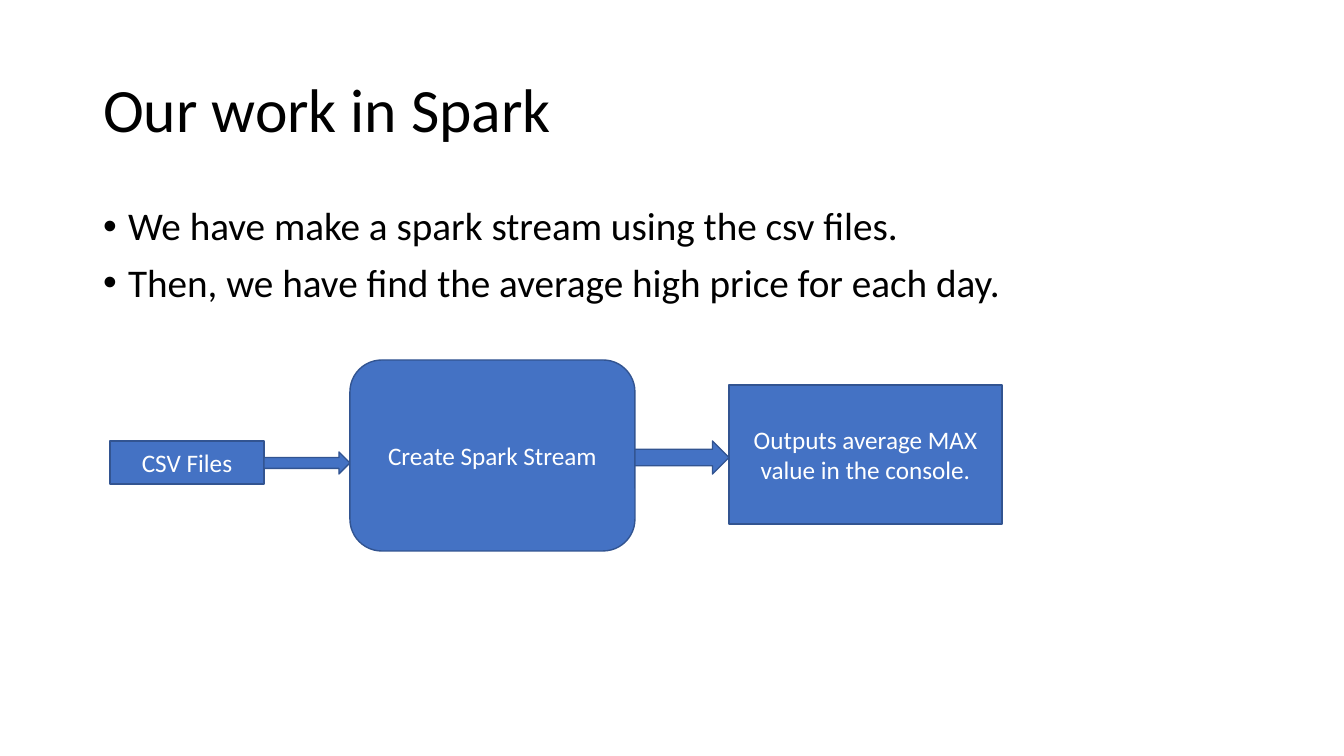
"""Build the slide that shows the Spark streaming work as a flow of three steps."""
import pptx
import pptx.dml.color
import pptx.enum.shapes
import pptx.enum.text
import pptx.oxml
import pptx.oxml.ns
import pptx.util

COLORS = {"text": "000000", "fill": "4472C4", "line": "325491", "label": "FFFFFF"}
FONT = "Calibri"
PIXELS_PER_INCH = 100.8
SHAPES = pptx.enum.shapes.MSO_SHAPE
ALIGN = pptx.enum.text.PP_ALIGN
ANCHOR = pptx.enum.text.MSO_ANCHOR


def pixels(count):
    """Turn pixels into EMU."""
    return pptx.util.Inches(count / PIXELS_PER_INCH)


def color(name):
    """Look up a named colour."""
    return pptx.dml.color.RGBColor.from_string(COLORS[name])


def write(paragraph, text, size=18, ink="text", align=ALIGN.LEFT, line_spacing=1.0, before=0):
    """Put formatted text into a paragraph."""
    paragraph.alignment = align
    paragraph.line_spacing = line_spacing
    paragraph.space_before = pptx.util.Pt(before)
    run = paragraph.add_run()
    run.text = text
    run.font.name = FONT
    run.font.size = pptx.util.Pt(size)
    run.font.color.rgb = color(ink)


def add_bullet(paragraph, indent):
    """Give a paragraph a round bullet with a hanging indent."""
    properties = paragraph._p.get_or_add_pPr()
    properties.set("marL", str(pixels(indent)))
    properties.set("indent", str(-pixels(indent)))
    namespace = pptx.oxml.ns.nsdecls("a")
    for tag in (f'<a:buFont {namespace} typeface="Arial"/>', f'<a:buChar {namespace} char="•"/>'):
        properties.append(pptx.oxml.parse_xml(tag))


class SlideBuilder:
    """Hold the style and the current slide."""

    def __init__(self, presentation):
        """Add a title and content slide."""
        self.slide = presentation.slides.add_slide(presentation.slide_layouts[1])
        self.line_width = pptx.util.Pt(1)

    def place(self, placeholder, box, anchor):
        """Move a placeholder and return its text frame."""
        placeholder.left, placeholder.top, placeholder.width, placeholder.height = map(pixels, box)
        frame = placeholder.text_frame
        frame.word_wrap = True
        frame.auto_size = pptx.enum.text.MSO_AUTO_SIZE.NONE
        frame.vertical_anchor = anchor
        return frame

    def title(self, text, box):
        """Fill the title placeholder."""
        frame = self.place(self.slide.shapes.title, box, ANCHOR.MIDDLE)
        write(frame.paragraphs[0], text, size=44, line_spacing=0.9)

    def bullets(self, items, box):
        """Fill the body placeholder with a list."""
        frame = self.place(self.slide.placeholders[1], box, ANCHOR.TOP)
        for index, item in enumerate(items):
            paragraph = frame.add_paragraph() if index else frame.paragraphs[0]
            write(paragraph, item, size=28, line_spacing=0.9, before=10)
            add_bullet(paragraph, 25)

    def block(self, kind, box, text=None):
        """Add a filled shape, with a centred label if text is given."""
        shape = self.slide.shapes.add_shape(kind, *map(pixels, box))
        shape.shadow.inherit = False
        shape.fill.solid()
        shape.fill.fore_color.rgb = color("fill")
        shape.line.color.rgb = color("line")
        shape.line.width = self.line_width
        if text:
            frame = shape.text_frame
            frame.word_wrap = True
            frame.vertical_anchor = ANCHOR.MIDDLE
            write(frame.paragraphs[0], text, ink="label", align=ALIGN.CENTER)


def main():
    """Build and save the presentation."""
    presentation = pptx.Presentation()
    presentation.slide_width, presentation.slide_height = pixels(1344), pixels(756)
    builder = SlideBuilder(presentation)
    builder.title("Our work in Spark", (93, 40, 1159, 146))
    builder.bullets(
        [
            "We have make a spark stream using the csv files.",
            "Then, we have find the average high price for each day.",
        ],
        (93, 202, 1159, 480),
    )
    flow = [
        (SHAPES.RECTANGLE, (110, 441, 154, 43), "CSV Files"),
        (SHAPES.RIGHT_ARROW, (264, 452, 86, 22), None),
        (SHAPES.ROUNDED_RECTANGLE, (350, 360, 285, 191), "Create Spark Stream"),
        (SHAPES.RIGHT_ARROW, (635, 441, 94, 33), None),
        (SHAPES.RECTANGLE, (729, 385, 273, 139), "Outputs average MAX value in the console."),
    ]
    for kind, box, text in flow:
        builder.block(kind, box, text)
    presentation.save("out.pptx")


main()
